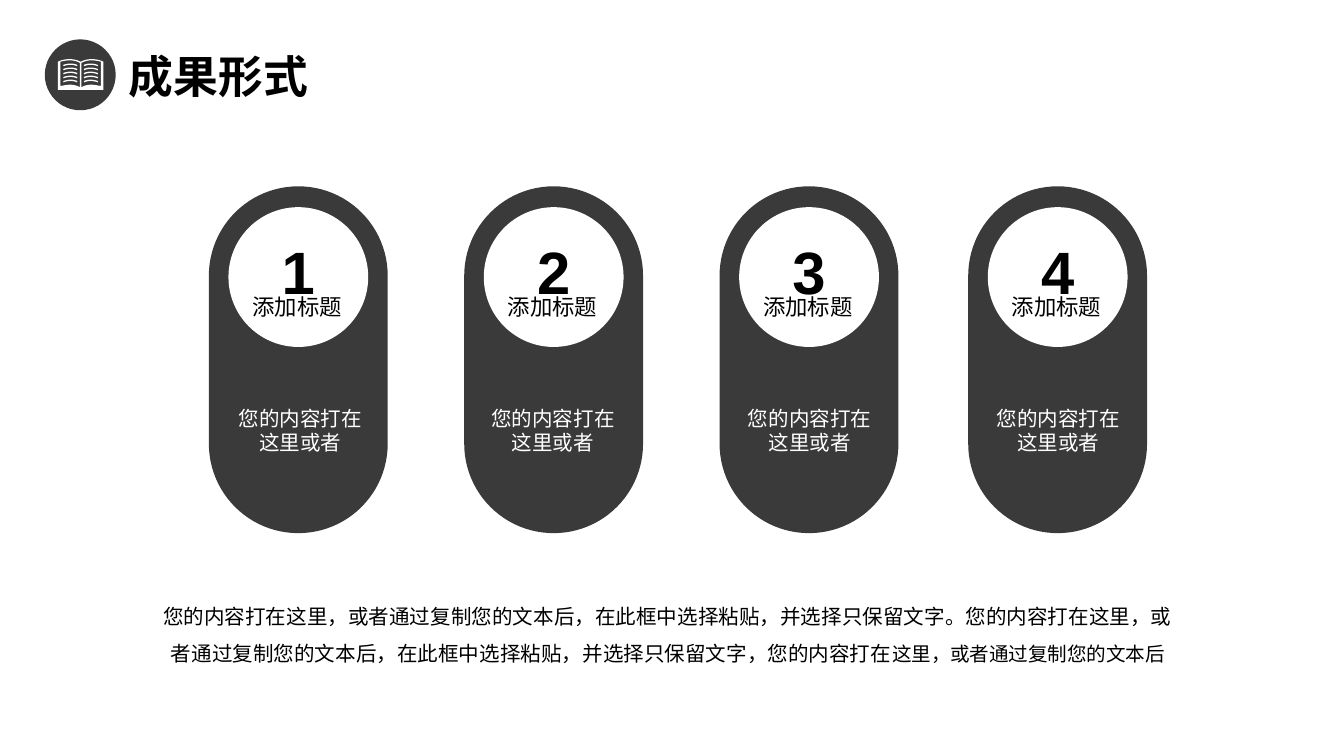
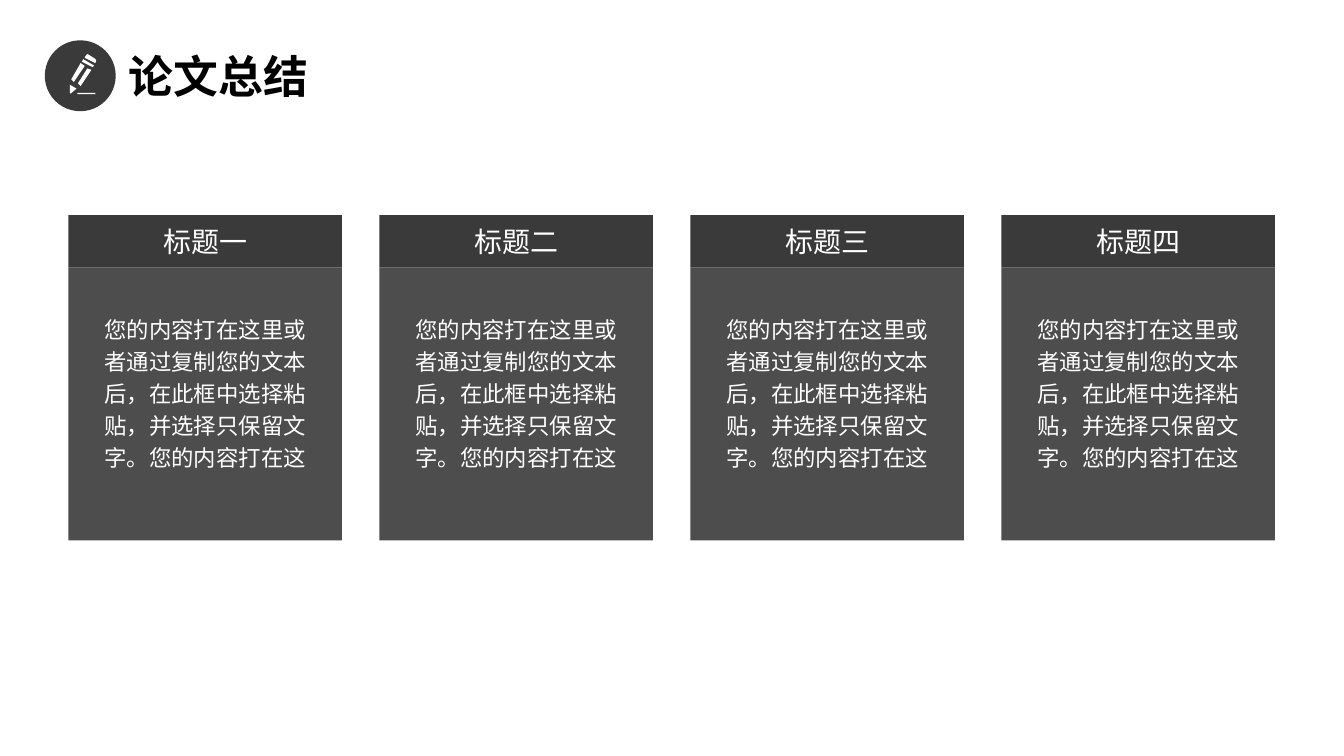
from collections.abc import Callable
from dataclasses import dataclass

from lxml import etree
from pptx import Presentation
from pptx import util as u
from pptx.dml.color import RGBColor
from pptx.enum import shapes, text
from pptx.oxml import ns
from pptx.shapes.autoshape import Shape
from pptx.shapes.group import GroupShape
from pptx.shapes.shapetree import GroupShapes, SlideShapes
from pptx.slide import Slide

Point = tuple[float, float]
Contour = list[Point]
Shapes = SlideShapes | GroupShapes

COLORS = {"dark": "3A3A3A", "panel": "4D4D4D", "white": "FFFFFF", "black": "000000"}
LATIN = "Arial"
CHINESE = "Noto Sans CJK SC"
INSETS = (7.2, 3.6)
BOOK_AXIS = 43.2


@dataclass(frozen=True)
class Box:
    left: float
    top: float
    width: float
    height: float

    def lengths(self) -> tuple[int, int, int, int]:
        return u.Pt(self.left), u.Pt(self.top), u.Pt(self.width), u.Pt(self.height)


@dataclass(frozen=True)
class TextStyle:
    size: float
    color: str
    font: str = CHINESE
    bold: bool = False
    centered: bool = False
    line_spacing: float | None = None
    wrap: bool = True
    insets: Point = INSETS
    tracking: float = 0


@dataclass(frozen=True)
class Capsule:
    number: str
    center: float
    body_center: float


TITLE = TextStyle(24, "black", LATIN, bold=True)
NUMBER = TextStyle(32, "black", LATIN, bold=True, centered=True, line_spacing=1.5,
                   insets=(0, 0), tracking=0.5)
LABEL = TextStyle(12, "black", LATIN, wrap=False)
CAPSULE_BODY = TextStyle(11, "white", centered=True)
SUMMARY = TextStyle(11, "black", centered=True, line_spacing=1.5)
CARD_HEADING = TextStyle(15, "white", centered=True)
CARD_BODY = TextStyle(12, "white", line_spacing=1.2)

CAPSULES = [
    Capsule("1", 159.8, 161),
    Capsule("2", 296.6, 296.3),
    Capsule("3", 433.4, 433.8),
    Capsule("4", 566.6, 567),
]
CARD_HEADINGS = ["标题一", "标题二", "标题三", "标题四"]
CARD_LEFT, CARD_PITCH, CARD_WIDTH = 36.7, 166.6, 146.5
CARD_TEXT = "您的内容打在这里或者通过复制您的文本后，在此框中选择粘贴，并选择只保留文字。您的内容打在这"
SUMMARY_TEXT = (
    "您的内容打在这里，或者通过复制您的文本后，在此框中选择粘贴，并选择只保留文字。"
    "您的内容打在这里，或者通过复制您的文本后，在此框中选择粘贴，并选择只保留文字，您的内容打在"
)
SUMMARY_END = "这里，或者通过复制您的文本后"

PENCIL: list[Contour] = [
    [(46.1, 29.5), (46.8, 29), (47.5, 29.3), (51, 31.5), (51.6, 32.4), (51.1, 33.8), (45.4, 31)],
    [(44.6, 31.7), (43.9, 33.1), (49.7, 36), (50.4, 35.1)],
    [(37.4, 45.4), (41, 47.5), (37.8, 50.2), (37.4, 49.8)],
    [(38.2, 42.5), (43.2, 33.8), (45.4, 35.3), (39.6, 43.9)],
    [(41.8, 44.6), (46.8, 36.7), (49, 37.4), (43.2, 46.1)],
    [(41.4, 49.7), (51.1, 49.7), (51.1, 50.4), (41.4, 50.4)],
]


def color(name: str) -> RGBColor:
    return RGBColor.from_string(COLORS[name])


def paint(shape: Shape, fill: str, line: str | None = None) -> None:
    shape.shadow.inherit = False
    shape.fill.solid()
    shape.fill.fore_color.rgb = color(fill)
    if line is None:
        shape.line.fill.background()
    else:
        shape.line.color.rgb = color(line)
        shape.line.width = u.Pt(1)


def add_preset(target: Shapes, kind: shapes.MSO_SHAPE, box: Box, fill: str,
               line: str | None = None) -> Shape:
    shape = target.add_shape(kind, *box.lengths())
    paint(shape, fill, line)
    return shape


def add_text(target: Shapes, box: Box, content: str, style: TextStyle) -> Shape:
    shape = target.add_textbox(*box.lengths())
    frame = shape.text_frame
    frame.word_wrap = style.wrap
    frame.auto_size = text.MSO_AUTO_SIZE.SHAPE_TO_FIT_TEXT
    frame.margin_left = frame.margin_right = u.Pt(style.insets[0])
    frame.margin_top = frame.margin_bottom = u.Pt(style.insets[1])
    frame.text = content
    paragraph = frame.paragraphs[0]
    paragraph.alignment = text.PP_ALIGN.CENTER if style.centered else text.PP_ALIGN.LEFT
    paragraph.line_spacing = style.line_spacing
    format_runs(shape, style)
    return shape


def format_runs(shape: Shape, style: TextStyle) -> None:
    for run in shape.text_frame.paragraphs[0].runs:
        run.font.size = u.Pt(style.size)
        run.font.bold = style.bold
        run.font.color.rgb = color(style.color)
        run.font.name = style.font
        properties = run.font._element
        if style.font == CHINESE and properties.find(ns.qn("a:ea")) is None:
            east_asian = etree.Element(ns.qn("a:ea"), typeface=CHINESE)
            properties.find(ns.qn("a:latin")).addnext(east_asian)
        if style.tracking:
            properties.set("spc", str(round(style.tracking * 100)))


def add_outline(target: Shapes, contours: list[Contour], fill: str) -> None:
    outlines = [[(u.Pt(x), u.Pt(y)) for x, y in contour] for contour in contours]
    builder = target.build_freeform(*outlines[0][0])
    for index, points in enumerate(outlines):
        if index:
            builder.move_to(*points[0])
        builder.add_line_segments(points[1:], close=True)
    paint(builder.convert_to_shape(), fill)


def curve(start: Point, first: Point, second: Point, end: Point, steps: int = 8) -> Contour:
    points = []
    for step in range(steps + 1):
        t = step / steps
        weights = ((1 - t) ** 3, 3 * t * (1 - t) ** 2, 3 * t * t * (1 - t), t ** 3)
        controls = (start, first, second, end)
        points.append((
            sum(weight * control[0] for weight, control in zip(weights, controls)),
            sum(weight * control[1] for weight, control in zip(weights, controls)),
        ))
    return points


def mirror(contour: Contour) -> Contour:
    return [(2 * BOOK_AXIS - x, y) for x, y in reversed(contour)]


def draw_book(target: Shapes) -> None:
    right_edge = (
        curve((43.2, 33.1), (44.6, 32.4), (46.8, 31.7), (49, 31.7))
        + curve((49, 31.7), (51.8, 31.7), (54, 32.4), (55.4, 33.1))
        + [(55.4, 48.2)]
    )
    right_page = (
        curve((43.6, 33.8), (43.6, 33.8), (45.4, 32.4), (49, 32.4))
        + curve((49, 32.4), (51.8, 32.4), (54, 33.1), (54, 33.1))
        + curve((54, 46.1), (52.6, 45.9), (50.4, 45.4), (49, 45.4))
        + curve((49, 45.4), (46.8, 45.4), (44.6, 46.1), (43.6, 46.8))
    )
    add_outline(target, [right_edge + mirror(right_edge), right_page, mirror(right_page)], "white")
    for row in range(5):
        top = 34.8 + 2.16 * row
        stroke = (
            curve((33.9, top), (36.5, top - 1), (39.4, top - 1), (41.5, top))
            + curve((41.3, top + 0.7), (39.2, top - 0.3), (36.5, top - 0.3), (34, top + 0.7))
        )
        add_outline(target, [stroke], "white")
        add_outline(target, [mirror(stroke)], "white")


def draw_pencil(target: Shapes) -> None:
    add_outline(target, PENCIL, "white")


def add_header(slide: Slide, title: str, badge_top: float,
               draw_icon: Callable[[Shapes], None]) -> None:
    add_text(slide.shapes, Box(61.9, 22.3, 170, 36.7), title, TITLE)
    badge: GroupShape = slide.shapes.add_group_shape()
    add_preset(badge.shapes, shapes.MSO_SHAPE.OVAL, Box(24.5, badge_top, 37, 37), "dark", "dark")
    draw_icon(badge.shapes)


def add_capsule(slide: Slide, capsule: Capsule) -> None:
    group = slide.shapes.add_group_shape().shapes
    center = capsule.center
    pill = add_preset(group, shapes.MSO_SHAPE.ROUNDED_RECTANGLE,
                      Box(center - 92.9, 144.8, 185.8, 95.8), "dark")
    pill.adjustments[0] = 0.5
    pill.rotation = 90
    add_preset(group, shapes.MSO_SHAPE.OVAL, Box(center - 37.4, 111, 74.9, 74.9), "white")
    add_text(group, Box(center - 41, 106.6, 82, 51), capsule.number, NUMBER)
    add_text(group, Box(center - 31.6, 153.4, 63.2, 21.6), "添加标题", LABEL)
    add_text(group, Box(capsule.body_center - 42.8, 213.8, 85.6, 33.8),
             "您的内容打在这里或者", CAPSULE_BODY)


def add_card(slide: Slide, left: float, heading: str) -> None:
    group = slide.shapes.add_group_shape().shapes
    rectangle = shapes.MSO_SHAPE.RECTANGLE
    add_preset(group, rectangle, Box(left, 115.2, CARD_WIDTH, 28.2), "dark")
    add_preset(group, rectangle, Box(left, 143.4, CARD_WIDTH, 146.2), "panel")
    add_text(group, Box(left + 24, 116.6, 98.6, 25.2), heading, CARD_HEADING)
    add_text(group, Box(left + 12.2, 162.7, 123.4, 94.3), CARD_TEXT, CARD_BODY)


def build_results(slide: Slide) -> None:
    for capsule in CAPSULES:
        add_capsule(slide, capsule)
    summary = add_text(slide.shapes, Box(75.6, 313.2, 564.5, 44.6), SUMMARY_TEXT, SUMMARY)
    ending = summary.text_frame.paragraphs[0].add_run()
    ending.text = SUMMARY_END
    format_runs(summary, SUMMARY)
    ending.font.size = u.Pt(10.5)
    add_header(slide, "成果形式", 21.6, draw_book)


def build_conclusion(slide: Slide) -> None:
    for index, heading in enumerate(CARD_HEADINGS):
        add_card(slide, CARD_LEFT + CARD_PITCH * index, heading)
    add_header(slide, "论文总结", 22.1, draw_pencil)


def main() -> None:
    presentation = Presentation()
    presentation.slide_width = u.Pt(720)
    presentation.slide_height = u.Pt(405)
    blank = presentation.slide_layouts[6]
    for build in (build_results, build_conclusion):
        build(presentation.slides.add_slide(blank))
    presentation.save("out.pptx")


main()
